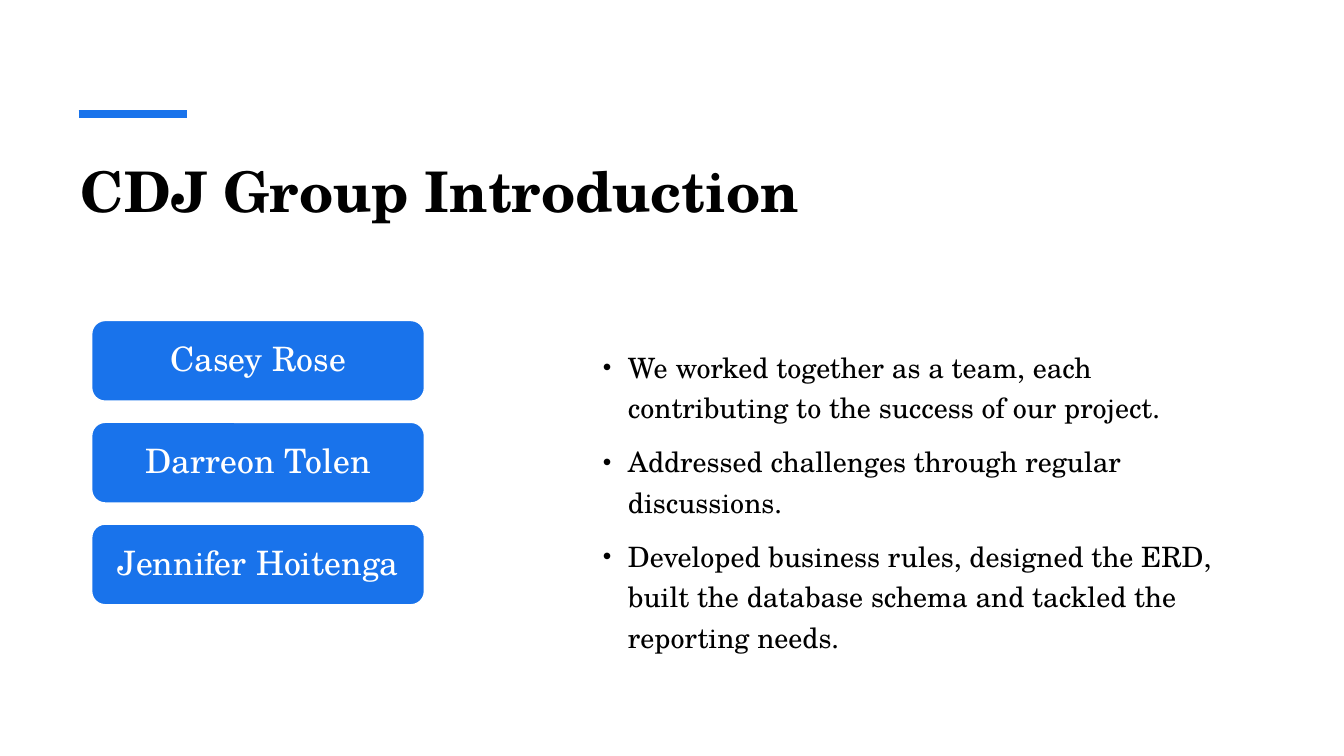
import pptx
import pptx.dml.color
import pptx.enum.shapes
import pptx.enum.text
import pptx.oxml.ns
import pptx.util
from lxml import etree

EMU_PER_PX = 9144  # 100 px to the inch
MEMBERS = ["Casey Rose", "Darreon Tolen", "Jennifer Hoitenga"]
POINTS = [
    "We worked together as a team, each contributing to the success of our project.",
    "Addressed challenges through regular discussions.",
    "Developed business rules, designed the ERD, built the database schema "
    "and tackled the reporting needs.",
]


def px(length):
    return pptx.util.Emu(length * EMU_PER_PX)


def color(value):
    return pptx.dml.color.RGBColor.from_string(value)


def add_element(parent, tag, **attributes):
    return etree.SubElement(parent, pptx.oxml.ns.qn(tag), attributes)


class SlideBuilder:
    font = "TeX Gyre Schola"
    blue = "1973EB"
    black = "000000"
    white = "FFFFFF"

    def __init__(self, page):
        self.page = page

    def add_text(self, para, text, size, ink=black, bold=False, align=None,
                 spacing=None, before=None, bullet=None):
        if bullet:
            properties = para._p.get_or_add_pPr()
            properties.set("marL", str(px(25)))
            properties.set("indent", str(-px(25)))
            add_element(properties, "a:buSzPct", val="87000")
            add_element(properties, "a:buFont", typeface="Arial")
            add_element(properties, "a:buChar", char=bullet)
        para.alignment = align
        para.line_spacing = spacing
        para.space_before = before
        span = para.add_run()
        span.text = text
        span.font.name = self.font
        span.font.size = pptx.util.Pt(size)
        span.font.bold = bold
        span.font.color.rgb = color(ink)

    def title(self, text, left, top, width, height):
        box = self.page.shapes.title
        box.left, box.top, box.width, box.height = map(px, (left, top, width, height))
        box.text_frame.word_wrap = True
        box.text_frame.vertical_anchor = pptx.enum.text.MSO_ANCHOR.TOP
        self.add_text(box.text_frame.paragraphs[0], text, 40, bold=True,
                      align=pptx.enum.text.PP_ALIGN.LEFT)

    def rule(self, left, top, right, weight):
        line = self.page.shapes.add_connector(
            pptx.enum.shapes.MSO_CONNECTOR.STRAIGHT,
            px(left), px(top), px(right), px(top))
        line.line.color.rgb = color(self.blue)
        line.line.width = pptx.util.Pt(weight)
        add_element(line._element.spPr, "a:effectLst")

    def name_card(self, text, left, top, width, height):
        card = self.page.shapes.add_shape(
            pptx.enum.shapes.MSO_SHAPE.ROUNDED_RECTANGLE,
            px(left), px(top), px(width), px(height))
        card.shadow.inherit = False
        card.fill.solid()
        card.fill.fore_color.rgb = color(self.blue)
        card.line.color.rgb = color(self.white)
        card.line.width = pptx.util.Pt(1)
        frame = card.text_frame
        frame.word_wrap = True
        frame.vertical_anchor = pptx.enum.text.MSO_ANCHOR.MIDDLE
        self.add_text(frame.paragraphs[0], text, 24, ink=self.white, spacing=0.9,
                      align=pptx.enum.text.PP_ALIGN.CENTER)

    def bullets(self, points, left, top, width, height):
        box = self.page.shapes.add_textbox(px(left), px(top), px(width), px(height))
        frame = box.text_frame
        frame.word_wrap = True
        for index, point in enumerate(points):
            para = frame.add_paragraph() if index else frame.paragraphs[0]
            self.add_text(para, point, 20, spacing=1.2, bullet="•",
                          before=pptx.util.Pt(10 if index else 0))


def main():
    deck = pptx.Presentation()
    deck.slide_width, deck.slide_height = px(1333), px(750)
    builder = SlideBuilder(deck.slides.add_slide(deck.slide_layouts[5]))

    # Heading with accent rule
    builder.rule(78, 113, 185, 6)
    builder.title("CDJ Group Introduction", 70, 150, 1191, 120)

    # Team members
    for row, member in enumerate(MEMBERS):
        builder.name_card(member, 91, 318 + 101 * row, 330, 80)

    # What the team did
    builder.bullets(POINTS, 588, 336, 638, 246)

    deck.save("out.pptx")


if __name__ == "__main__":
    main()
